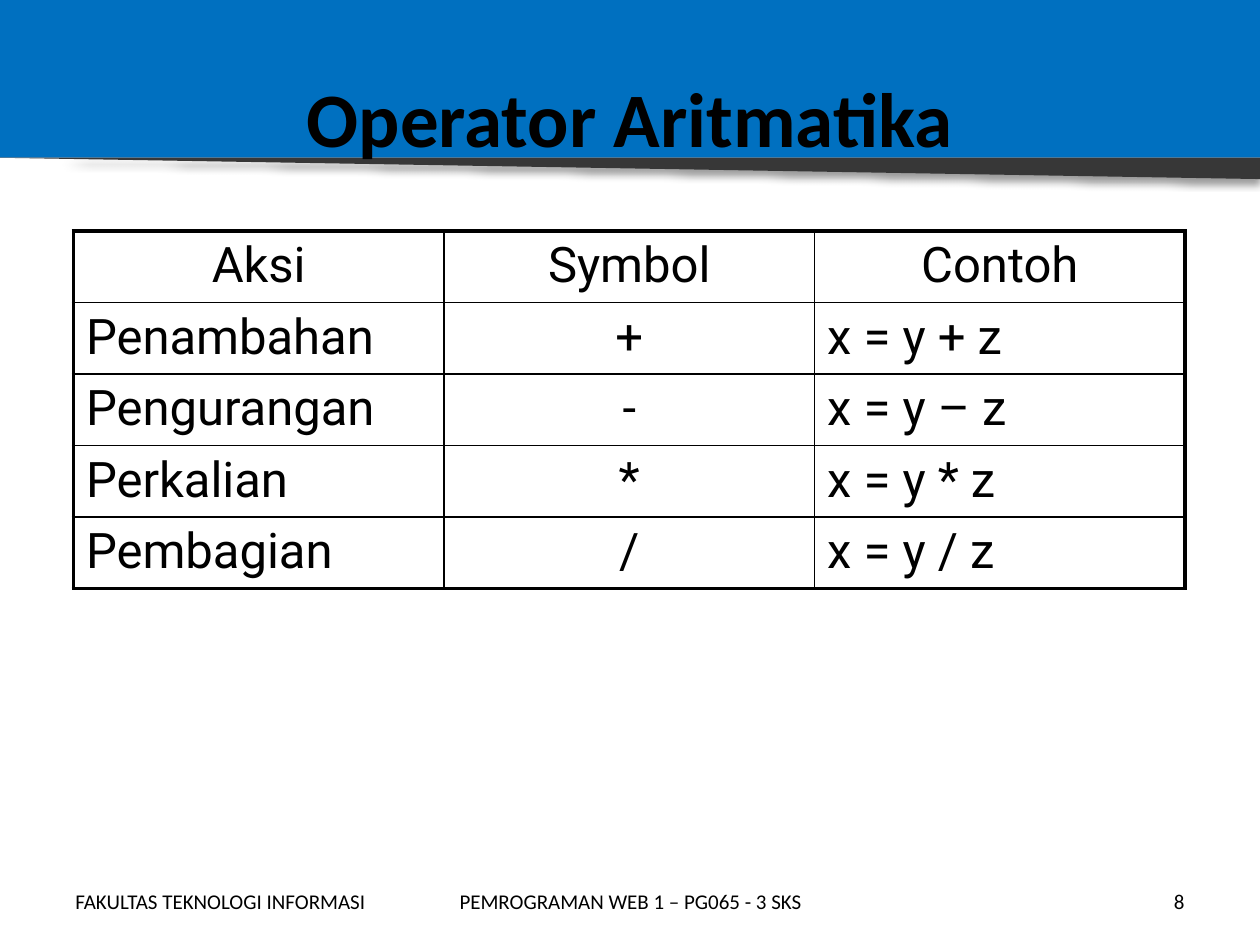
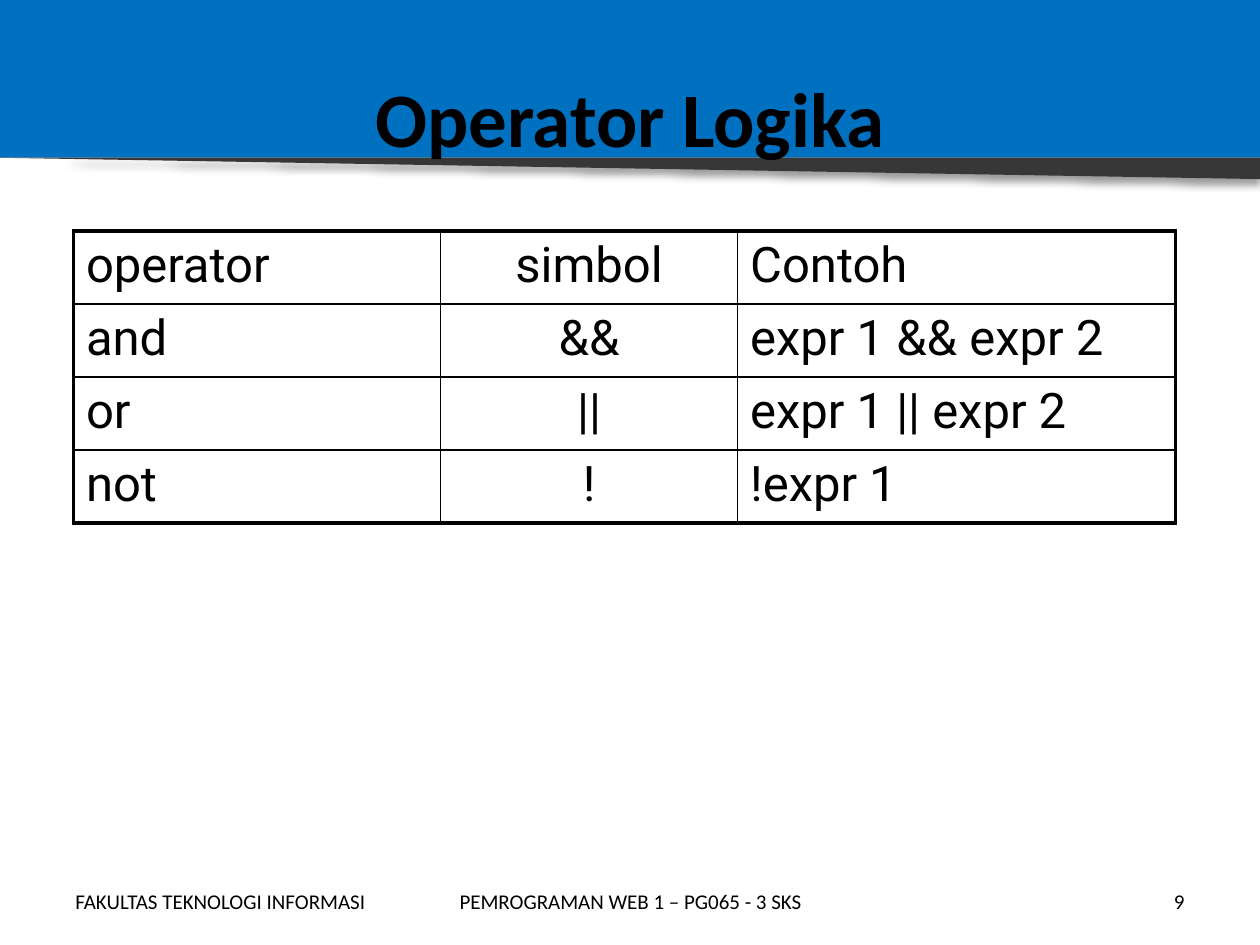
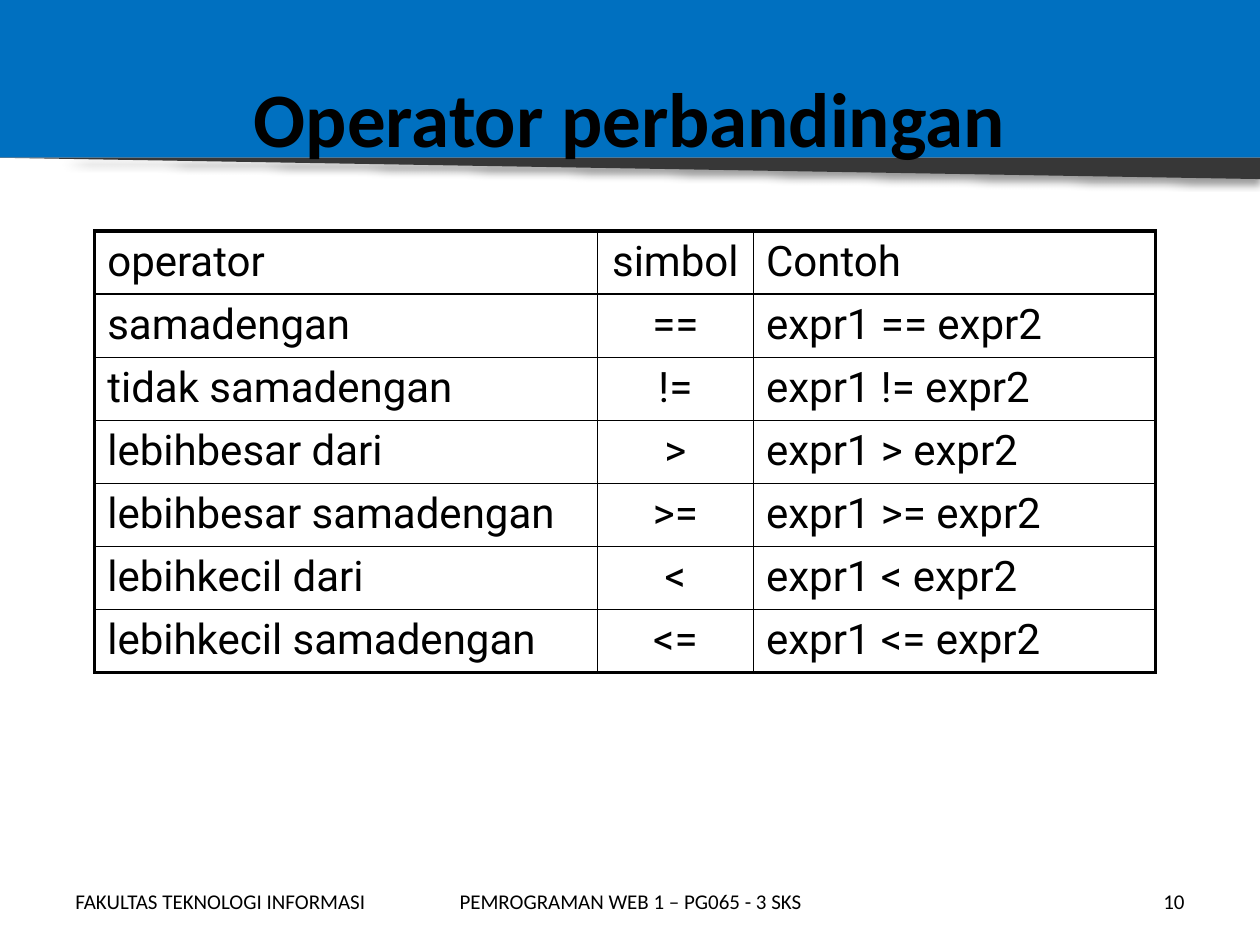
"""Build three slides of operator tables with a shared band, title style and footer."""
from pptx import Presentation
from pptx.dml.color import RGBColor
from pptx.enum.shapes import MSO_SHAPE as SHAPE
from pptx.enum.text import MSO_ANCHOR as ANCHOR, PP_ALIGN as ALIGN
from pptx.oxml import parse_xml
from pptx.oxml.ns import nsdecls
from pptx.util import Cm, Pt

BLUE = RGBColor(0x00, 0x70, 0xC0)
GRAY = RGBColor(0x37, 0x37, 0x37)
BLACK = RGBColor(0x00, 0x00, 0x00)
LEFT, CENTER, RIGHT = ALIGN.LEFT, ALIGN.CENTER, ALIGN.RIGHT


class Deck:
    HEAD_FONT, TABLE_FONT = "Calibri", "Roboto"
    WIDTH, BAND_H, EDGE_H = Cm(25.4), Cm(3.18), Cm(0.43)
    FOOT_TOP, FOOT_H = Cm(17.65), Cm(1.02)
    THIN, THICK = Pt(1), Pt(2.25)

    def __init__(self):
        self.prs = Presentation()
        self.prs.slide_width, self.prs.slide_height = self.WIDTH, Cm(19.05)
        self.layout = self.prs.slide_layouts[5]
        self.s = None

    def add_text(self, tf, text, size, font, align=LEFT, bold=False):
        p = tf.paragraphs[0]
        p.alignment = align
        r = p.add_run()
        r.text = text
        r.font.size, r.font.name, r.font.bold = Pt(size), font, bold
        r.font.color.rgb = BLACK
        return p

    def shape(self, kind, top, height, color):
        sp = self.s.shapes.add_shape(kind, 0, top, self.WIDTH, height)
        sp.shadow.inherit = False
        sp.fill.solid()
        sp.fill.fore_color.rgb = color
        sp.line.fill.background()
        return sp

    def band(self):
        edge = self.shape(SHAPE.RIGHT_TRIANGLE, self.BAND_H, self.EDGE_H, GRAY)
        edge.rotation = 180
        effects = edge.element.spPr.find("{*}effectLst")
        effects.append(parse_xml(
            f'<a:outerShdw {nsdecls("a")} blurRad="{Pt(4)}" dist="{Pt(3)}" dir="5400000" '
            f'rotWithShape="0"><a:srgbClr val="{BLACK}"><a:alpha val="40000"/></a:srgbClr>'
            '</a:outerShdw>'))
        bar = self.shape(SHAPE.RECTANGLE, 0, self.BAND_H, BLUE)
        for number, sp in enumerate((edge, bar), 101):
            sp.element.xpath(".//p:cNvPr")[0].set("id", str(number))
            self.layout.shapes.element.insert(2, sp.element)

    def footer(self, text, left, width, align):
        box = self.s.shapes.add_textbox(left, self.FOOT_TOP, width, self.FOOT_H)
        tf = box.text_frame
        tf.word_wrap, tf.vertical_anchor = True, ANCHOR.MIDDLE
        self.add_text(tf, text, 12, self.HEAD_FONT, align)

    def slide(self, title, number):
        first = self.s is None
        self.s = self.prs.slides.add_slide(self.layout)
        if first:
            self.band()
        sp = self.s.shapes.title
        sp.left, sp.top, sp.width, sp.height = Cm(1.27), Cm(0.76), Cm(22.86), Cm(3.18)
        sp.text_frame.vertical_anchor = ANCHOR.MIDDLE
        self.add_text(sp.text_frame, title, 44, self.HEAD_FONT, CENTER, True)
        self.footer("FAKULTAS TEKNOLOGI INFORMASI", Cm(1.27), Cm(6.99), LEFT)
        self.footer(str(number), Cm(18.21), Cm(5.92), RIGHT)
        self.footer("PEMROGRAMAN WEB 1 – PG065 - 3 SKS", Cm(8.69), Cm(8.05), CENTER)

    def borders(self, cell, outer):
        tc_pr = cell._tc.get_or_add_tcPr()
        for i, (side, is_outer) in enumerate(zip("LRTB", outer)):
            width = self.THICK if is_outer else self.THIN
            tc_pr.insert(i, parse_xml(
                f'<a:ln{side} {nsdecls("a")} w="{width}"><a:solidFill>'
                f'<a:srgbClr val="{BLACK}"/></a:solidFill></a:ln{side}>'))

    def table(self, rows, left, widths, row_h, size, header_align):
        n, m = len(rows), len(widths)
        frame = self.s.shapes.add_table(n, m, left, Cm(4.66), sum(widths), row_h * n)
        tbl = frame.table
        tbl.first_row = tbl.horz_banding = False
        for col, width in zip(tbl.columns, widths):
            col.width = width
        for i, row in enumerate(rows):
            tbl.rows[i].height = row_h
            for j, text in enumerate(row):
                cell = tbl.cell(i, j)
                cell.fill.background()
                self.borders(cell, (j == 0, j == m - 1, i == 0, i == n - 1))
                align = CENTER if j == 1 else header_align if i == 0 else LEFT
                p = self.add_text(cell.text_frame, text, size, self.TABLE_FONT, align)
                p._p.get_or_add_pPr().append(parse_xml(
                    f'<a:spcBef {nsdecls("a")}><a:spcPct val="20000"/></a:spcBef>'))


ARITHMETIC = [
    ("Aksi", "Symbol", "Contoh"),
    ("Penambahan", "+", "x = y + z"),
    ("Pengurangan", "-", "x = y – z"),
    ("Perkalian", "*", "x = y * z"),
    ("Pembagian", "/", "x = y / z"),
]
LOGIC = [
    ("operator", "simbol", "Contoh"),
    ("and", "&&", "expr 1 && expr 2"),
    ("or", "||", "expr 1 || expr 2"),
    ("not", "!", "!expr 1"),
]
COMPARISONS = [
    ("samadengan", "=="),
    ("tidak samadengan", "!="),
    ("lebihbesar dari", ">"),
    ("lebihbesar samadengan", ">="),
    ("lebihkecil dari", "<"),
    ("lebihkecil samadengan", "<="),
]
COMPARISON = [LOGIC[0]] + [(name, op, f"expr1 {op} expr2") for name, op in COMPARISONS]

deck = Deck()
deck.slide("Operator Aritmatika", 8)
deck.table(ARITHMETIC, Cm(1.48), [Cm(7.47)] * 3, Cm(1.41), 28, CENTER)

deck.slide("Operator Logika", 9)
deck.table(LOGIC, Cm(1.48), [Cm(7.4), Cm(5.99), Cm(8.83)], Cm(1.47), 28, LEFT)

deck.slide("Operator perbandingan", 10)
deck.table(COMPARISON, Cm(1.91), [Cm(10.13), Cm(3.15), Cm(8.1)], Cm(1.25), 24, LEFT)

deck.prs.save("out.pptx")
